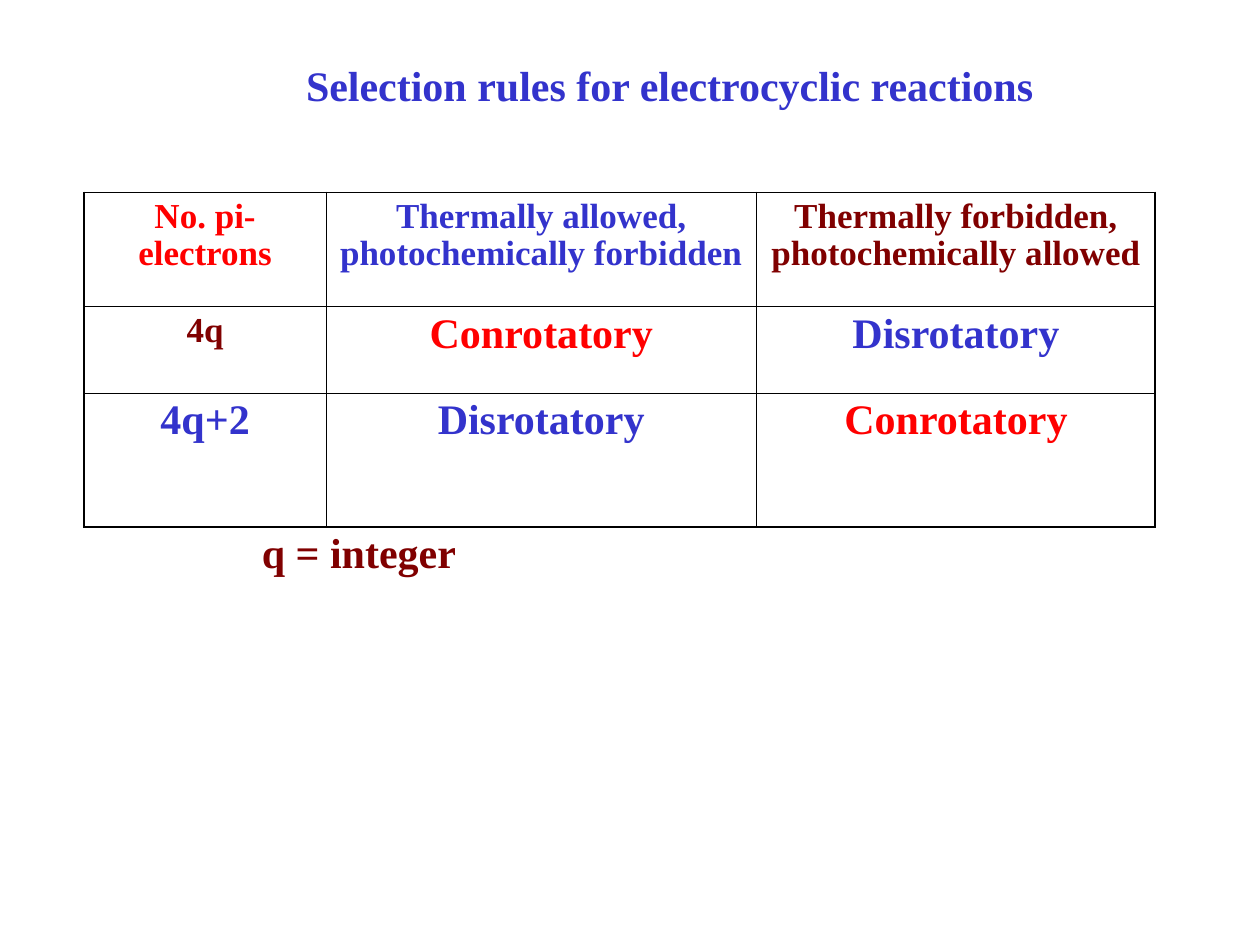
from pptx import Presentation
from pptx import util as u
from pptx.dml.color import RGBColor
from pptx.enum import text
from pptx.oxml import parse_xml
from pptx.oxml.ns import nsdecls

FONT = "Times New Roman"
COLORS = {"blue": "3333CC", "red": "FF0000", "maroon": "800000", "black": "000000"}
THICK, THIN = u.Pt(1.08), u.Pt(0.45)

COLUMN_WIDTHS = [4.87, 8.68, 8.04]
ROW_HEIGHTS = [2.3, 1.75, 2.7]
# Each cell: wording, size, colour
RULES = [
    [("No. pi-electrons", 20, "red"),
     ("Thermally allowed, photochemically forbidden ", 20, "blue"),
     ("Thermally forbidden, photochemically allowed", 20, "maroon")],
    [("4q", 20, "maroon"), ("Conrotatory", 24, "red"), ("Disrotatory", 24, "blue")],
    [("4q+2", 24, "blue"), ("Disrotatory", 24, "blue"), ("Conrotatory", 24, "red")],
]


def add_run(paragraph, wording, size, color):
    run = paragraph.add_run()
    run.text = wording
    run.font.name = FONT
    run.font.size = u.Pt(size)
    run.font.bold = True
    run.font.color.rgb = RGBColor.from_string(COLORS[color])


def add_label(slide, left, top, width, height, wording, color):
    label = slide.shapes.add_textbox(u.Cm(left), u.Cm(top), u.Cm(width), u.Cm(height))
    frame = label.text_frame
    frame.word_wrap = False
    frame.auto_size = text.MSO_AUTO_SIZE.SHAPE_TO_FIT_TEXT
    add_run(frame.paragraphs[0], wording, 24, color)


def set_borders(cell, widths):
    """Draw the cell's sides; they must come before the fill in the XML."""
    properties = cell._tc.get_or_add_tcPr()
    for index, (side, width) in enumerate(widths.items()):
        properties.insert(index, parse_xml(
            f'<a:{side} {nsdecls("a")} w="{width}"><a:solidFill>'
            f'<a:srgbClr val="{COLORS["black"]}"/></a:solidFill></a:{side}>'))


def add_rules_table(slide, left, top):
    row_count, column_count = len(ROW_HEIGHTS), len(COLUMN_WIDTHS)
    table = slide.shapes.add_table(
        row_count, column_count, u.Cm(left), u.Cm(top),
        u.Cm(sum(COLUMN_WIDTHS)), u.Cm(sum(ROW_HEIGHTS))).table
    table.first_row = table.horz_banding = False
    for column, width in zip(table.columns, COLUMN_WIDTHS):
        column.width = u.Cm(width)
    for row, height in zip(table.rows, ROW_HEIGHTS):
        row.height = u.Cm(height)

    for i, rule in enumerate(RULES):
        for j, (wording, size, color) in enumerate(rule):
            cell = table.cell(i, j)
            cell.fill.background()
            paragraph = cell.text_frame.paragraphs[0]
            paragraph.alignment = text.PP_ALIGN.CENTER
            paragraph.line_spacing = 0.95
            add_run(paragraph, wording, size, color)
            # Thick outer frame, thin inner lines
            set_borders(cell, {
                "lnL": THICK if j == 0 else THIN,
                "lnR": THICK if j == column_count - 1 else THIN,
                "lnT": THICK if i == 0 else THIN,
                "lnB": THICK if i == row_count - 1 else THIN,
            })


def main():
    presentation = Presentation()
    presentation.slide_width, presentation.slide_height = u.Cm(25.4), u.Cm(19.05)
    slide = presentation.slides.add_slide(presentation.slide_layouts[6])

    # Title
    add_label(slide, 5.92, 1.07, 15.21, 1.27,
              "Selection rules for electrocyclic reactions", "blue")
    # Selection rules
    add_rules_table(slide, 1.7, 3.88)
    # Meaning of q
    add_label(slide, 5.03, 10.49, 4.42, 1.27, "q = integer", "maroon")

    presentation.save("out.pptx")


if __name__ == "__main__":
    main()
